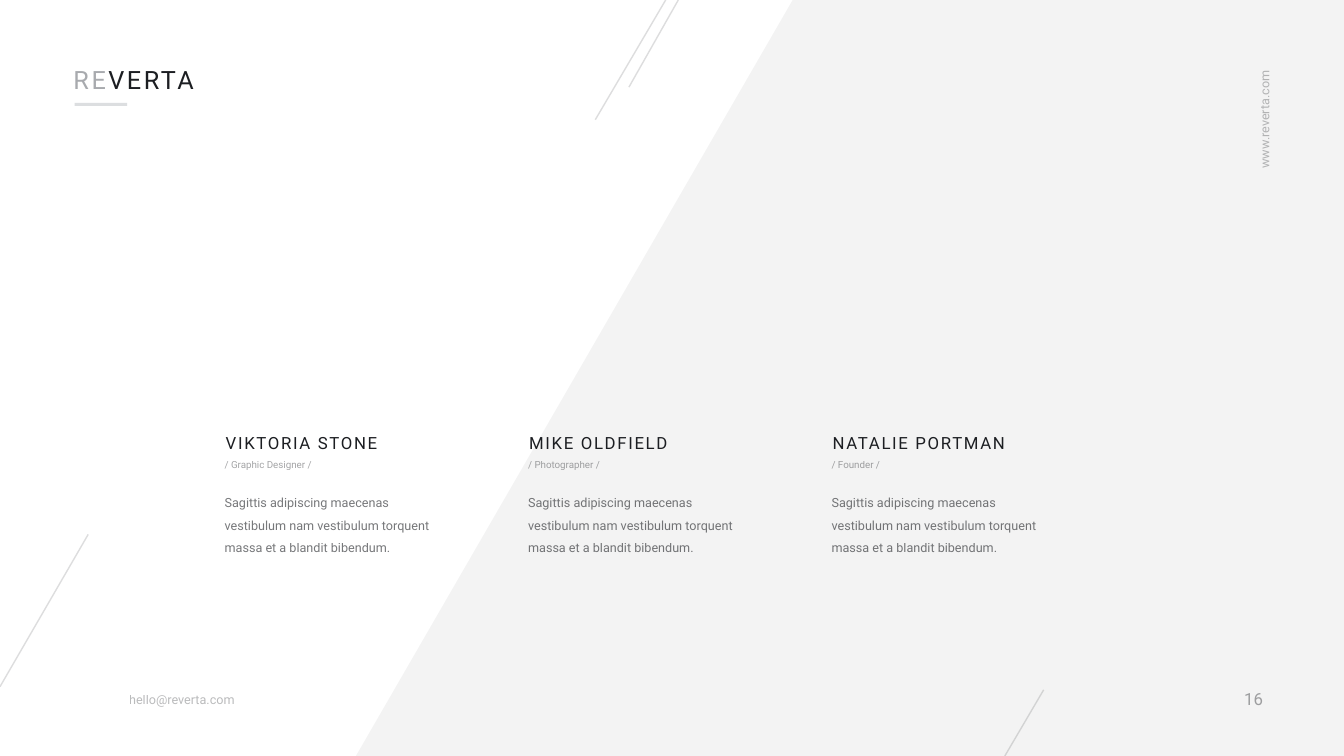
import pptx
import pptx.dml.color
import pptx.enum.shapes
import pptx.enum.text
import pptx.oxml.ns
import pptx.util
from lxml import etree
from dataclasses import dataclass

PX = 9525
ALIGN = pptx.enum.text.PP_ALIGN
ANCHOR = pptx.enum.text.MSO_ANCHOR
FIT = pptx.enum.text.MSO_AUTO_SIZE
qn = pptx.oxml.ns.qn


@dataclass(frozen=True)
class Theme:
    """Holds the colours, opacities and type sizes of the deck."""
    font: str = "Roboto"
    ink: str = "1C1E22"
    brand: str = "A8AAAE"
    bar: str = "DCDEE0"
    wedge: int = 5
    stroke: int = 15
    faint: int = 30
    muted: int = 40
    soft: int = 60
    title: int = 18
    heading: int = 12
    body: int = 9
    caption: int = 7


THEME = Theme()


def px(*lengths):
    """Turn pixel lengths into EMU."""
    return [pptx.util.Emu(n * PX) for n in lengths]


def rgb(color):
    """Turn a hex string into a colour."""
    return pptx.dml.color.RGBColor.from_string(color)


def set_opacity(element, percent):
    """Make the solid colours within an element partly transparent."""
    if percent < 100:
        for clr in element.iter(qn("a:srgbClr")):
            etree.SubElement(clr, qn("a:alpha"), val=str(percent * 1000))


def set_frame(tf, inset, anchor, wrap):
    """Set the margins, anchor and wrapping of a text frame."""
    tf.margin_left, tf.margin_top, tf.margin_right, tf.margin_bottom = px(*inset)
    tf.vertical_anchor = anchor
    tf.word_wrap = wrap
    tf.auto_size = FIT.NONE if wrap else FIT.SHAPE_TO_FIT_TEXT


def add_run(p, text, size, color=THEME.ink, opacity=100, spacing=0):
    """Append one formatted run to a paragraph."""
    r = p.add_run()
    r.text = text
    r.font.name = THEME.font
    r.font.size = pptx.util.Pt(size)
    r.font.color.rgb = rgb(color)
    rPr = r._r.get_or_add_rPr()
    set_opacity(rPr, opacity)
    if spacing:
        rPr.set("spc", str(spacing))


def add_text(s, box, text, size, opacity=100, spacing=0, align=ALIGN.LEFT,
             anchor=ANCHOR.TOP, inset=(3, 3, 3, 3), leading=None, wrap=True):
    """Place a text box holding one paragraph."""
    sp = s.shapes.add_textbox(*px(*box))
    set_frame(sp.text_frame, inset, anchor, wrap)
    p = sp.text_frame.paragraphs[0]
    p.alignment = align
    p.line_spacing = leading
    add_run(p, text, size, opacity=opacity, spacing=spacing)
    return sp


def add_solid(sp, color, opacity=100):
    """Give a shape a plain fill without outline or shadow."""
    sp.shadow.inherit = False
    sp.fill.solid()
    sp.fill.fore_color.rgb = rgb(color)
    set_opacity(sp._element.spPr, opacity)
    sp.line.fill.background()


def add_backdrop(s, box):
    """Draw the slanted panel that fills the right of the box."""
    x, y, w, h = box
    builder = s.shapes.build_freeform(x + 755, y, scale=PX)
    builder.add_line_segments([(x + 339, y + h), (x + w, y + h), (x + w, y)])
    add_solid(builder.convert_to_shape(), THEME.ink, THEME.wedge)


def add_slashes(s, box):
    """Draw the thin slanted lines along the edges of the box."""
    x, y, w, h = box
    for x1, y1, x2, y2 in ((0, 654, 84, 509), (957, h, 994, 657),
                           (567, 114, 634, 0), (599, 83, 646, 0)):
        line = s.shapes.add_connector(pptx.enum.shapes.MSO_CONNECTOR.STRAIGHT,
                                      *px(x + x1, y + y1, x + x2, y + y2))
        line.line.width = pptx.util.Pt(1)
        line.line.color.rgb = rgb(THEME.ink)
        set_opacity(line._element.spPr, THEME.stroke)
        etree.SubElement(line._element.spPr, qn("a:effectLst"))


def add_header(s, box):
    """Set the two-tone title with its bar underneath."""
    x, y, w, h = box
    title = s.shapes.title
    title.left, title.top, title.width, title.height = px(*box)
    set_frame(title.text_frame, (3, 3, 3, 3), ANCHOR.MIDDLE, False)
    p = title.text_frame.paragraphs[0]
    p.alignment = ALIGN.LEFT
    add_run(p, "RE", THEME.title, THEME.brand, spacing=180)
    add_run(p, "VERTA", THEME.title, spacing=180)
    bar = s.shapes.add_shape(pptx.enum.shapes.MSO_SHAPE.RECTANGLE,
                             *px(x + 4, y + 40, 50, 3))
    add_solid(bar, THEME.bar)


def add_member(s, box, name, role, about):
    """Place a team member's name, role and description."""
    x, y, w, h = box
    add_text(s, (x, y + 54, w, h - 54), about, THEME.body, THEME.soft, leading=1.5)
    add_text(s, (x, y, w, 24), name, THEME.heading, spacing=120,
             anchor=ANCHOR.MIDDLE, inset=(4, 4, 4, 4), leading=1.3)
    add_text(s, (x, y + 27, w - 31, 17), role, THEME.caption, THEME.muted,
             anchor=ANCHOR.MIDDLE)


def add_contacts(s, box):
    """Place the e-mail, the upright web address and the page number."""
    x, y, w, h = box
    add_text(s, (x + 120, y + h - 64, 107, 20), "hello@reverta.com",
             THEME.body, THEME.faint, wrap=False)
    web = add_text(s, (x + w - 126, y + 104, 100, 20), "www.reverta.com",
                   THEME.body, THEME.faint, align=ALIGN.RIGHT, wrap=False)
    web.rotation = 270
    add_text(s, (x + w - 116, y + h - 69, 49, 30), "16", THEME.heading,
             THEME.muted, align=ALIGN.RIGHT, inset=(10, 5, 10, 5))


def add_team_slide(prs, members, about):
    """Build the team slide with one column for each member."""
    s = prs.slides.add_slide(prs.slide_layouts[5])
    page = (0, 0, 1280, 720)
    add_backdrop(s, page)
    for i, (name, role) in enumerate(members):
        add_member(s, (211 + 289 * i, 407, 205, 128), name, role, about)
    add_contacts(s, page)
    add_slashes(s, page)
    add_header(s, (67, 58, 129, 35))


def main():
    """Create the presentation and save it."""
    prs = pptx.Presentation()
    prs.slide_width, prs.slide_height = px(1280, 720)
    members = (("VIKTORIA STONE", "/ Graphic Designer /"),
               ("MIKE OLDFIELD", "/ Photographer /"),
               ("NATALIE PORTMAN", "/ Founder /"))
    add_team_slide(prs, members, "Sagittis adipiscing maecenas vestibulum nam "
                   "vestibulum torquent massa et a blandit bibendum.")
    prs.save("out.pptx")


if __name__ == "__main__":
    main()
